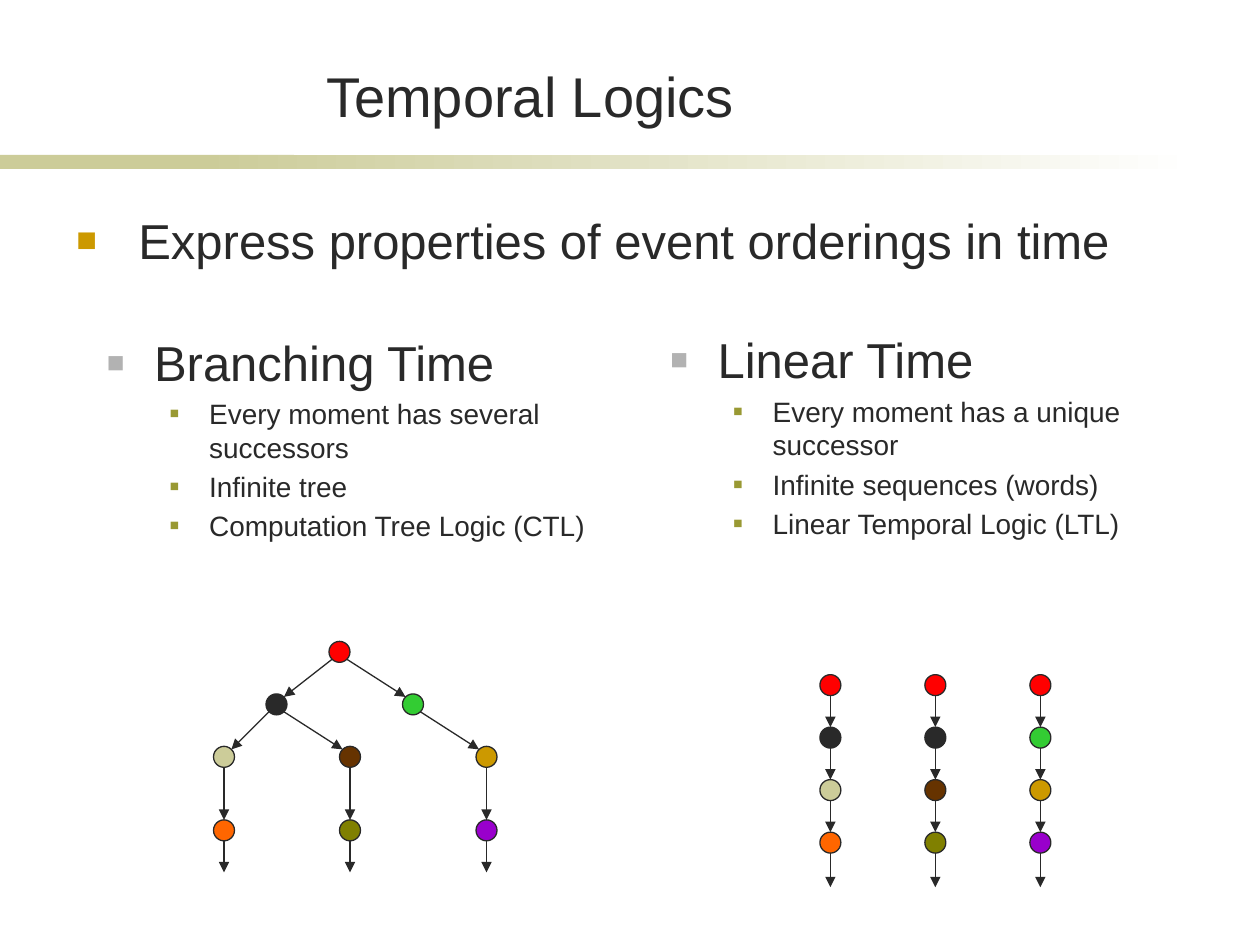
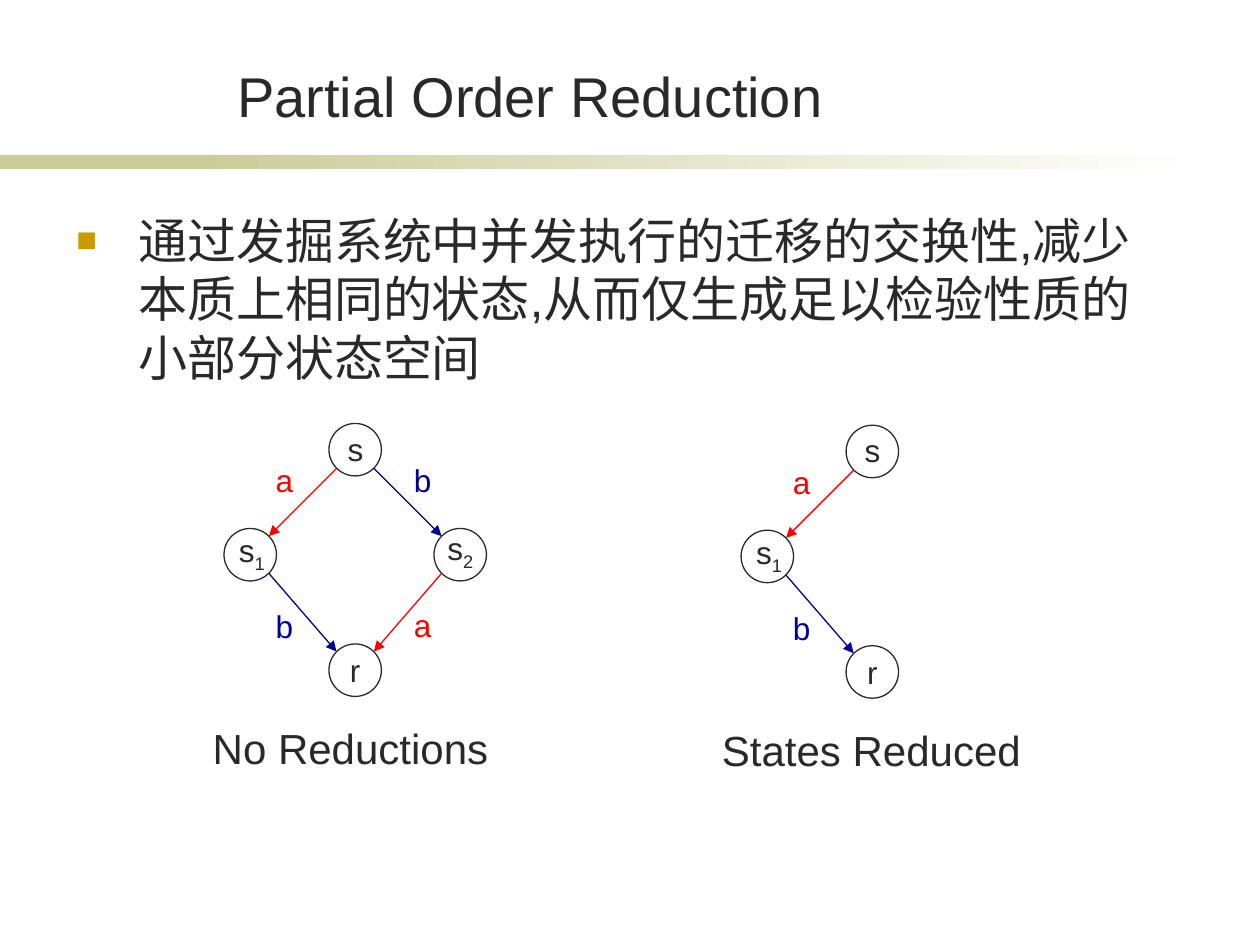
from lxml import etree
from pptx import Presentation
from pptx import util as u
from pptx.dml.color import RGBColor
from pptx.enum import shapes, text
from pptx.oxml import ns

INK, SAND, GOLD, RED, BLUE = "292929", "CCCC99", "CC9900", "FF0000", "000099"
GREEN, BROWN, ORANGE, OLIVE, PURPLE = "33CC33", "663300", "FF6600", "808000", "9900CC"
FONT = "Arial"

# level style: indent, hang, bullet colour, bullet percent, text size
STYLES = {
    "main": (35.5, 35.5, GOLD, 70, 28),
    "head": (27, 27, "B2B2B2", 60, 28),
    "item": (58.5, 22.5, "999933", 55, 16),
}

LOGICS = "Temporal Logics"
ORDERS = "Express properties of event orderings in time"
COLUMNS = [
    (54, 186.5, "Branching Time", [
        "Every moment has several successors",
        "Infinite tree",
        "Computation Tree Logic (CTL)"]),
    (376, 185, "Linear Time", [
        "Every moment has a unique successor",
        "Infinite sequences (words)",
        "Linear Temporal Logic (LTL)"]),
]
TREE = {
    "root": (194, 372.5, RED),
    "left": (158, 402.5, INK),
    "right": (236, 402.5, GREEN),
    "sand": (128, 432.5, SAND),
    "brown": (200, 432.5, BROWN),
    "gold": (278, 432.5, GOLD),
    "orange": (128, 474.5, ORANGE),
    "olive": (200, 474.5, OLIVE),
    "purple": (278, 474.5, PURPLE),
}
BRANCHES = [
    ("root", "left"), ("root", "right"), ("left", "sand"), ("left", "brown"),
    ("right", "gold"), ("sand", "orange"), ("brown", "olive"), ("gold", "purple"),
]
LEAVES = ["orange", "olive", "purple"]
CHAINS = [
    [RED, INK, SAND, ORANGE],
    [RED, INK, BROWN, OLIVE],
    [RED, GREEN, GOLD, PURPLE],
]

PARTIAL = "Partial Order Reduction"
IDEA = "通过发掘系统中并发执行的迁移的交换性,减少本质上相同的状态,从而仅生成足以检验性质的小部分状态空间"
STATES = {"s": (203, 257), "s1": (143, 317), "s2": (263, 317), "r": (203, 383)}
NAMES = {"s": (191.5, 242, 24), "s1": (129.5, 300, 30), "s2": (248.5, 299, 30)}
MOVES = [
    ("s", "s1", "a", 150.5, 260), ("s", "s2", "b", 229.5, 260),
    ("s1", "r", "b", 150.5, 343.5), ("s2", "r", "a", 229.5, 343),
]
HUES = {"a": RED, "b": BLUE}
GRAPHS = [
    (0, 0, ["s", "s1", "s2", "r"], "No Reductions", 114.5, 172),
    (295.5, 1, ["s", "s1", "r"], "States Reduced", 405.5, 185),
]


def rgb(code):
    return RGBColor.from_string(code)


def style(para, size, hue=INK):
    para.font.name = FONT
    para.font.size = u.Pt(size)
    para.font.color.rgb = rgb(hue)


def box(slide, x, y, w, h, wrap=True):
    frame = slide.shapes.add_textbox(u.Pt(x), u.Pt(y), u.Pt(w), u.Pt(h)).text_frame
    frame.word_wrap = wrap
    return frame


def bullets(slide, x, y, w, h, rows):
    frame = box(slide, x, y, w, h)
    for i, (kind, words) in enumerate(rows):
        para = frame.add_paragraph() if i else frame.paragraphs[0]
        para.text = words
        indent, hang, hue, share, size = STYLES[kind]
        props = para._p.get_or_add_pPr()
        props.set("marL", str(u.Pt(indent)))
        props.set("indent", str(-u.Pt(hang)))

        def add(host, tag, **attrs):
            return etree.SubElement(host, ns.qn(tag), attrs)

        add(add(props, "a:spcBef"), "a:spcPct", val="20000")
        add(add(props, "a:buClr"), "a:srgbClr", val=hue)
        add(props, "a:buSzPct", val=str(share * 1000))
        add(props, "a:buFont", typeface=FONT)
        add(props, "a:buChar", char="■")
        style(para, size)


def label(slide, words, x, y, w, size=18, hue=INK):
    para = box(slide, x, y, w, size * 1.2 + 7.2, False).paragraphs[0]
    para.text = words
    style(para, size, hue)
    return para


def shape(slide, kind, x, y, w, h):
    form = slide.shapes.add_shape(kind, u.Pt(x), u.Pt(y), u.Pt(w), u.Pt(h))
    form.shadow.inherit = False
    return form


def node(slide, x, y, rad, fill=None):
    dot = shape(slide, shapes.MSO_SHAPE.OVAL, x - rad, y - rad, 2 * rad, 2 * rad)
    if fill:
        dot.fill.solid()
        dot.fill.fore_color.rgb = rgb(fill)
    else:
        dot.fill.background()
    dot.line.color.rgb = rgb(INK)
    dot.line.width = u.Pt(0.75)
    return dot


def arrow(slide, x1, y1, x2, y2, hue=INK):
    line = slide.shapes.add_connector(
        shapes.MSO_CONNECTOR.STRAIGHT, u.Pt(x1), u.Pt(y1), u.Pt(x2), u.Pt(y2))
    line.line.color.rgb = rgb(hue)
    line.line.width = u.Pt(0.75)
    etree.SubElement(line.line._get_or_add_ln(), ns.qn("a:tailEnd"), type="triangle")
    etree.SubElement(line._element.spPr, ns.qn("a:effectLst"))


def edge(slide, start, end, rad, hue=INK):
    (x1, y1), (x2, y2) = start, end
    if x1 == x2:
        dx, dy = 0, rad
    else:
        dy = rad * 0.71
        dx = dy if x2 > x1 else -dy
    arrow(slide, x1 + dx, y1 + dy, x2 - dx, y2 - dy, hue)


def page(deck, title, lead):
    slide = deck.slides.add_slide(deck.slide_layouts[6])
    band = shape(slide, shapes.MSO_SHAPE.RECTANGLE, 0, 88.5, 168, 8)
    band.fill.solid()
    band.fill.fore_color.rgb = rgb(SAND)
    fade = shape(slide, shapes.MSO_SHAPE.RECTANGLE, 114, 88.5, 570, 8)
    fade.fill.gradient()
    fade.fill.gradient_angle = 0
    for stop, hue in zip(fade.fill.gradient_stops, (SAND, "FFFFFF")):
        stop.color.rgb = rgb(hue)
    for bar in (band, fade):
        bar.line.fill.background()
    frame = box(slide, 82, 31.5, 442, 45.5)
    frame.vertical_anchor = text.MSO_ANCHOR.BOTTOM
    para = frame.paragraphs[0]
    para.text = title
    para.alignment = text.PP_ALIGN.CENTER
    style(para, 32)
    bullets(slide, 36.5, 116.5, 641, 345.5, [("main", lead)])
    return slide


def logics(deck):
    slide = page(deck, LOGICS, ORDERS)
    for x, y, head, items in COLUMNS:
        rows = [("head", head)] + [("item", item) for item in items]
        bullets(slide, x, y, 318, 216, rows)
    rad = 6
    for x, y, hue in TREE.values():
        node(slide, x, y, rad, hue)
    for start, end in BRANCHES:
        edge(slide, TREE[start][:2], TREE[end][:2], rad)
    for leaf in LEAVES:
        x, y, _ = TREE[leaf]
        arrow(slide, x, y + rad, x, y + 24)
    for col, hues in enumerate(CHAINS):
        x = 474.5 + 60 * col
        for row, hue in enumerate(hues):
            y = 391.5 + 30 * row
            node(slide, x, y, rad, hue)
            last = row == len(hues) - 1
            arrow(slide, x, y + rad, x, y + (25.5 if last else 24))


def orders(deck):
    slide = page(deck, PARTIAL, IDEA)
    rad = 15
    for dx, dy, names, caption, left, width in GRAPHS:
        spots = {n: (STATES[n][0] + dx, STATES[n][1] + dy) for n in names}
        for name, (x, y) in spots.items():
            dot = node(slide, x, y, rad)
            if name in NAMES:
                tx, ty, w = NAMES[name]
                para = label(slide, name[0], tx + dx, ty + dy, w)
                if name[1:]:
                    sub = para.add_run()
                    sub.text = name[1:]
                    sub._r.get_or_add_rPr().set("baseline", "-25000")
            else:
                frame = dot.text_frame
                frame.word_wrap = False
                frame.vertical_anchor = text.MSO_ANCHOR.MIDDLE
                para = frame.paragraphs[0]
                para.text = name
                para.alignment = text.PP_ALIGN.CENTER
                style(para, 18)
        for start, end, act, x, y in MOVES:
            if start in spots and end in spots:
                edge(slide, spots[start], spots[end], rad, HUES[act])
                label(slide, act, x + dx, y + dy, 24.5, hue=HUES[act])
        label(slide, caption, left, 409.5 + dy, width, 24)


def main():
    deck = Presentation()
    deck.slide_width, deck.slide_height = u.Pt(720), u.Pt(540)
    logics(deck)
    orders(deck)
    deck.save("out.pptx")


if __name__ == "__main__":
    main()
